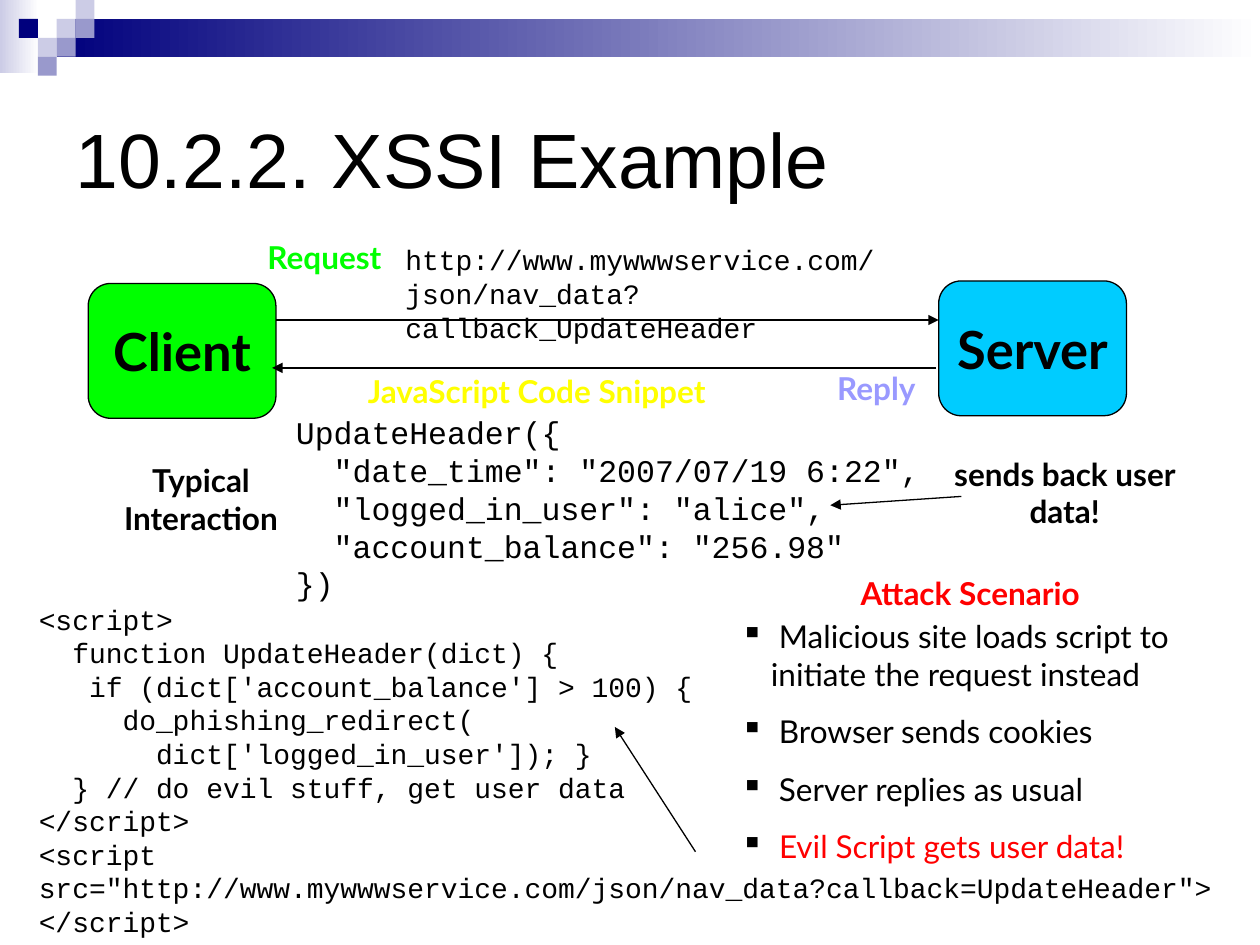
from lxml import etree
from pptx import Presentation
from pptx.dml.color import RGBColor
from pptx.enum.shapes import MSO_CONNECTOR, MSO_SHAPE
from pptx.enum.text import MSO_ANCHOR, PP_ALIGN
from pptx.oxml.ns import qn
from pptx.util import Inches, Pt

LEFT, CENTER = PP_ALIGN.LEFT, PP_ALIGN.CENTER
TOP, MIDDLE = MSO_ANCHOR.TOP, MSO_ANCHOR.MIDDLE
RECTANGLE, ROUNDED = MSO_SHAPE.RECTANGLE, MSO_SHAPE.ROUNDED_RECTANGLE
STRAIGHT = MSO_CONNECTOR.STRAIGHT

BLACK = RGBColor(0x00, 0x00, 0x00)
WHITE = RGBColor(0xFF, 0xFF, 0xFF)
NAVY = RGBColor(0x00, 0x00, 0x7D)
LAVENDER = RGBColor(0xCC, 0xCC, 0xE6)
PERIWINKLE = RGBColor(0x99, 0x99, 0xCC)
GREEN = RGBColor(0x00, 0xFF, 0x00)
CYAN = RGBColor(0x00, 0xCC, 0xFF)
YELLOW = RGBColor(0xFF, 0xFF, 0x00)
VIOLET = RGBColor(0x99, 0x99, 0xFF)
RED = RGBColor(0xFF, 0x00, 0x00)

SANS, MONO, TITLE_FONT = "Lato", "Courier New", "Arial"

TITLE = "10.2.2. XSSI Example"
URL = "http://www.mywwwservice.com/json/nav_data?callback_UpdateHeader"

REPLY_CODE = [
    'UpdateHeader({',
    '  "date_time": "2007/07/19 6:22",',
    '  "logged_in_user": "alice",',
    '  "account_balance": "256.98"',
    '})',
]

ATTACK_CODE = [
    "<script>",
    "  function UpdateHeader(dict) {",
    "   if (dict['account_balance'] > 100) {",
    "     do_phishing_redirect(",
    "       dict['logged_in_user']); }",
    "  } // do evil stuff, get user data",
    "</script>",
    "<script",
    'src="http://www.mywwwservice.com/json/nav_data?callback=UpdateHeader">',
    "</script>",
]

# Each step is a list of (text, colour) runs
ATTACK_STEPS = [
    [(" Malicious site loads script to initiate the request instead", BLACK)],
    [(" Browser sends cookies", BLACK)],
    [(" Server replies as usual", BLACK)],
    [(" ", BLACK), ("Evil Script gets user data!", RED)],
]

# text, colour, (left, top, width, height), wraps
LABELS = [
    ("Request", GREEN, (1.97, 1.84, 1.21, 0.4), False),
    ("Reply", VIOLET, (6.51, 2.88, 0.89, 0.4), False),
    ("JavaScript Code Snippet", YELLOW, (2.09, 2.9, 4.34, 0.4), True),
    ("sends back user data!", BLACK, (7.45, 3.56, 2, 0.7), True),
    ("Typical Interaction", BLACK, (0.74, 3.61, 1.71, 0.7), True),
    ("Attack Scenario", RED, (5.83, 4.51, 3.74, 0.4), True),
]

HOSTS = [
    ("Client", GREEN, (0.7, 2.25, 1.49, 1.07)),
    ("Server", CYAN, (7.45, 2.23, 1.49, 1.07)),
]

# start, end (with the arrowhead)
ARROWS = [
    ((2.19, 2.54), (7.45, 2.54)),
    ((7.43, 2.92), (2.16, 2.92)),
    ((7.63, 3.94), (6.59, 4.01)),
    ((5.52, 6.76), (4.88, 5.77)),
]

GRADIENT_BARS = [
    ((0, 0, 0.31, 0.58), LAVENDER),
    ((0.45, 0.15, 9.55, 0.3), NAVY),
]

# column, row, colour on a grid of small squares
SQUARE = 0.15
MOSAIC = [
    (3, 1, LAVENDER), (4, 0, LAVENDER), (4, 1, PERIWINKLE), (2, 2, LAVENDER),
    (1, 1, NAVY), (3, 2, PERIWINKLE), (2, 3, PERIWINKLE),
]


def inches(values):
    return [Inches(value) for value in values]


def add_block(page, place, kind=RECTANGLE):
    block = page.shapes.add_shape(kind, *inches(place))
    block.shadow.inherit = False
    block.line.fill.background()
    return block


def write(shape, paragraphs, size, font, align=LEFT, bold=False,
          anchor=TOP, wrap=True):
    """Fill a shape with paragraphs, each a list of (text, colour) runs."""
    frame = shape.text_frame
    frame.word_wrap = wrap
    frame.vertical_anchor = anchor
    for index, runs in enumerate(paragraphs):
        para = frame.paragraphs[0] if index == 0 else frame.add_paragraph()
        para.alignment = align
        for text, color in runs:
            span = para.add_run()
            span.text = text
            span.font.name = font
            span.font.size = Pt(size)
            span.font.bold = bold
            span.font.color.rgb = color
    return frame


def add_text(page, place, paragraphs, size, font, **style):
    box = page.shapes.add_textbox(*inches(place))
    return write(box, paragraphs, size, font, **style)


def add_code(page, place, lines, size):
    add_text(page, place, [[(line, BLACK)] for line in lines], size, MONO)


def add_bullet(para):
    para.space_before = Pt(11.2)
    properties = para._p.get_or_add_pPr()
    properties.set("marL", str(Inches(0.24)))
    properties.set("indent", str(-Inches(0.24)))
    color = etree.SubElement(properties, qn("a:buClr"))
    etree.SubElement(color, qn("a:srgbClr"), val=str(BLACK))
    etree.SubElement(properties, qn("a:buChar"), char="▪")


def add_arrow(page, start, end):
    arrow = page.shapes.add_connector(STRAIGHT, *inches(start + end))
    arrow.line.color.rgb = BLACK
    arrow.line.width = Pt(0.75)
    etree.SubElement(arrow.line._get_or_add_ln(), qn("a:tailEnd"), type="triangle")
    etree.SubElement(arrow._element.spPr, qn("a:effectLst"))


def add_decoration(page):
    for place, color in GRADIENT_BARS:
        fill = add_block(page, place).fill
        fill.gradient()
        fill.gradient_angle = 180
        for stop, stop_color in zip(fill.gradient_stops, (WHITE, color)):
            stop.color.rgb = stop_color
    for column, row, color in MOSAIC:
        place = (column * SQUARE, row * SQUARE, SQUARE, SQUARE)
        fill = add_block(page, place).fill
        fill.solid()
        fill.fore_color.rgb = color


def main():
    deck = Presentation()
    deck.slide_width, deck.slide_height = Inches(10), Inches(7.5)
    page = deck.slides.add_slide(deck.slide_layouts[6])

    add_decoration(page)
    add_code(page, (0.21, 4.73, 9.57, 2.77), ATTACK_CODE, 16)
    add_text(page, (0.5, 0.5, 9, 1.5), [[(TITLE, BLACK)]], 44, TITLE_FONT,
             anchor=MIDDLE)

    for name, color, place in HOSTS:
        host = add_block(page, place, ROUNDED)
        host.fill.solid()
        host.fill.fore_color.rgb = color
        host.line.color.rgb = BLACK
        host.line.width = Pt(0.75)
        write(host, [[(name, BLACK)]], 30, SANS, align=CENTER, bold=True,
              anchor=MIDDLE, wrap=False)

    add_code(page, (3.12, 1.88, 4.66, 0.9), [URL], 16)
    add_code(page, (2.25, 3.23, 5.18, 1.6), REPLY_CODE, 18)
    for text, color, place, wrap in LABELS:
        add_text(page, place, [[(text, color)]], 18, SANS, align=CENTER,
                 bold=True, wrap=wrap)

    steps = add_text(page, (5.78, 4.85, 3.69, 2.07), ATTACK_STEPS, 18, SANS)
    for para in steps.paragraphs:
        add_bullet(para)

    for start, end in ARROWS:
        add_arrow(page, start, end)

    deck.save("out.pptx")


if __name__ == "__main__":
    main()
